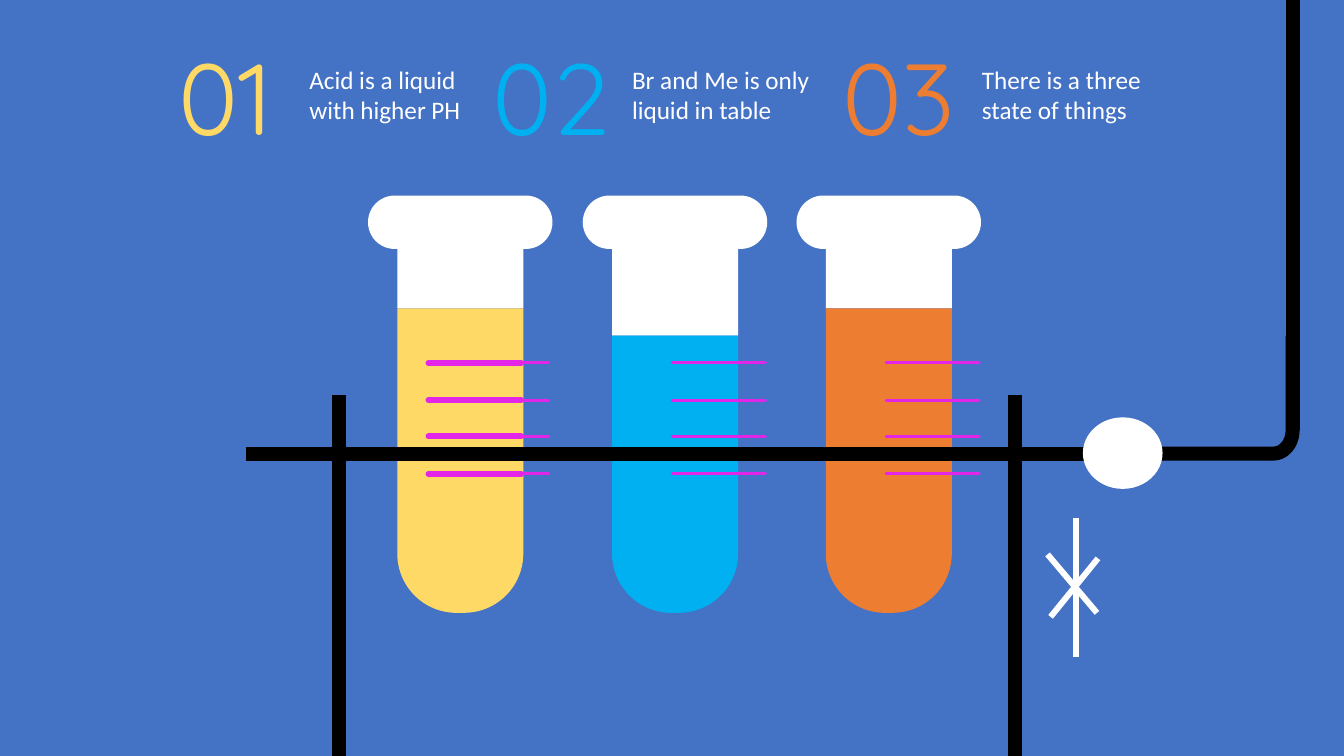
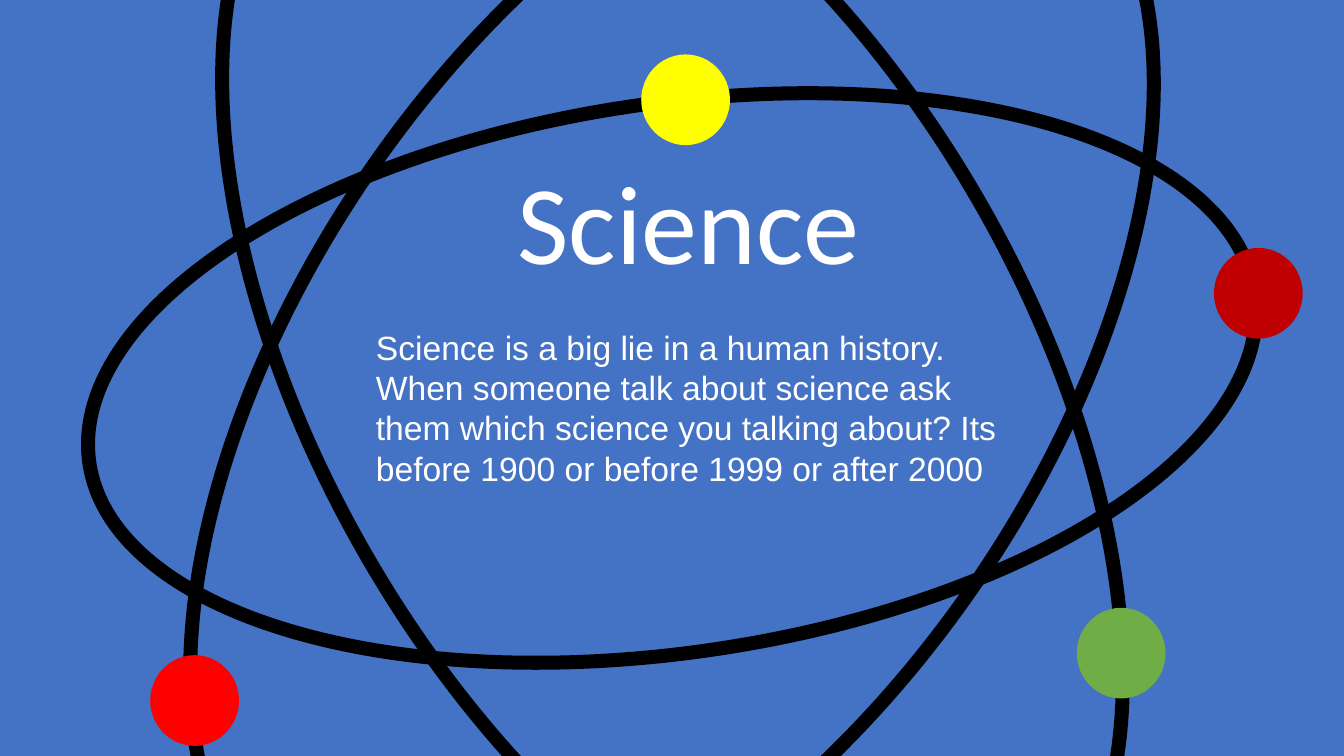
from dataclasses import dataclass
from math import cos, pi, sin
from typing import Any, Optional

from pptx import Presentation
from pptx.dml.color import RGBColor
from pptx.enum.shapes import MSO_CONNECTOR, MSO_SHAPE
from pptx.enum.text import MSO_ANCHOR, MSO_AUTO_SIZE, PP_ALIGN
from pptx.oxml import parse_xml
from pptx.oxml.ns import nsdecls, qn
from pptx.util import Emu, Pt

PX = 9144
WIDE, HIGH = 1333, 750


@dataclass(frozen=True)
class Theme:
    blue: str = "4472C4"
    white: str = "FFFFFF"
    black: str = "000000"
    mark: str = "E325E8"
    sand: str = "FFD966"
    sky: str = "00B0F0"
    orange: str = "ED7D31"
    red: str = "FF0000"
    green: str = "70AD47"
    yellow: str = "FFFF00"
    crimson: str = "C00000"
    sans: str = "Calibri"
    plain: str = "Arial"
    round: str = "Quicksand"
    title: int = 80
    number: int = 72
    body: int = 24
    label: int = 18
    thick: float = 10
    medium: float = 4.25
    thin: float = 2.25


T = Theme()


@dataclass(frozen=True)
class Box:
    x: int
    y: int
    w: int
    h: int


@dataclass(frozen=True)
class Tube:
    left: int
    level: int
    marks: int
    color: str


@dataclass(frozen=True)
class Point:
    number: str
    text: str
    color: str
    left: int
    label: Box


@dataclass(frozen=True)
class Dot:
    x: int
    y: int
    color: str


@dataclass(frozen=True)
class Orbit:
    box: Box
    turn: float
    dots: tuple[Dot, ...]


TUBES = (
    Tube(394, 306, 452, T.sand),
    Tube(607, 333, 667, T.sky),
    Tube(819, 306, 879, T.orange),
)
POINTS = (
    Point("01", "Acid is a liquid with higher PH", T.sand, 167, Box(297, 59, 173, 71)),
    Point("02", "Br and Me is only liquid in table", T.sky, 479, Box(617, 59, 201, 71)),
    Point("03", "There is a three state of things", T.orange, 826, Box(964, 59, 206, 71)),
)
ORBITS = (
    Orbit(Box(303, -281, 727, 1312), 34.6, (Dot(149, 650, T.red),)),
    Orbit(Box(316, -281, 702, 1312), 330.1, (Dot(1068, 603, T.green),)),
    Orbit(Box(394, -209, 545, 1168), 81.7,
          (Dot(636, 54, T.yellow), Dot(1204, 246, T.crimson))),
)
STAR = ((1067, 514, 1067, 652), (1039, 550, 1088, 608), (1089, 554, 1042, 612))


def place(box: Box) -> tuple[Emu, ...]:
    return tuple(Emu(n * PX) for n in (box.x, box.y, box.w, box.h))


def stroke(line: Any, color: str, width: float) -> None:
    line.color.rgb = RGBColor.from_string(color)
    line.width = Pt(width)


def shape(shapes: Any, kind: MSO_SHAPE, box: Box, fill: Optional[str]) -> Any:
    item = shapes.add_shape(kind, *place(box))
    item.shadow.inherit = False
    if fill:
        item.fill.solid()
        item.fill.fore_color.rgb = RGBColor.from_string(fill)
        item.line.fill.background()
    else:
        item.fill.background()
        stroke(item.line, T.black, T.thick)
    return item


def line(shapes: Any, ends: tuple[int, ...], color: str, width: float,
         cap: str = "flat") -> None:
    item = shapes.add_connector(MSO_CONNECTOR.STRAIGHT, *(Emu(n * PX) for n in ends))
    stroke(item.line, color, width)
    props = item._element.spPr
    props.find(qn("a:ln")).set("cap", cap)
    props.append(parse_xml(f"<a:effectLst {nsdecls('a')}/>"))


def write(frame: Any, text: str, size: int, font: str, color: str) -> Any:
    frame.word_wrap = True
    para = frame.paragraphs[0]
    run = para.add_run()
    run.text = text
    run.font.size = Pt(size)
    run.font.name = font
    run.font.color.rgb = RGBColor.from_string(color)
    return para


def label(shapes: Any, box: Box, text: str, size: int, font: str, color: str) -> None:
    frame = shapes.add_textbox(*place(box)).text_frame
    write(frame, text, size, font, color)
    frame.auto_size = MSO_AUTO_SIZE.SHAPE_TO_FIT_TEXT


def bend(shapes: Any) -> None:
    steps = 16
    arc = [(1263 + 19 * cos(pi / 2 * n / steps), 427 + 23 * sin(pi / 2 * n / steps))
           for n in range(steps + 1)]
    path = shapes.build_freeform(1282 * PX, 333 * PX)
    path.add_line_segments([(x * PX, y * PX) for x, y in arc + [(1114, 450)]], close=False)
    item = path.convert_to_shape()
    item.shadow.inherit = False
    item.fill.background()
    stroke(item.line, T.black, T.thick)


def glass(shapes: Any, tube: Tube) -> None:
    rim = shape(shapes, MSO_SHAPE.ROUNDED_RECTANGLE, Box(tube.left - 29, 194, 183, 53), T.white)
    rim.adjustments[0] = 0.5
    shape(shapes, MSO_SHAPE.RECTANGLE, Box(tube.left, 220, 125, tube.level - 220), T.white)
    fluid = shape(shapes, MSO_SHAPE.ROUND_2_SAME_RECTANGLE,
                  Box(tube.left, tube.level, 125, 608 - tube.level), tube.color)
    fluid.adjustments[0] = 0
    fluid.adjustments[1] = 0.47


def scale(shapes: Any, left: int, width: float) -> None:
    for n in range(4):
        y = round(360 + n * 110 / 3)
        line(shapes, (left, y, left + 92, y), T.mark, width, "rnd")


def lab(deck: Any) -> None:
    shapes = deck.slides.add_slide(deck.slide_layouts[6]).shapes
    for tube in TUBES:
        glass(shapes, tube)
    line(shapes, (1282, 0, 1282, 427), T.black, T.thick)
    bend(shapes)
    line(shapes, (244, 450, 1125, 450), T.black, T.thick)
    for x in (336, 1007):
        line(shapes, (x, 392, x, HIGH), T.black, T.thick)
    for tube in TUBES:
        scale(shapes, tube.marks, T.thin)
    scale(shapes, 425, T.medium)
    for point in POINTS:
        label(shapes, Box(point.left, 29, 158, 131), point.number,
              T.number, T.round, point.color)
        label(shapes, point.label, point.text, T.label, T.sans, T.white)
    shape(shapes, MSO_SHAPE.OVAL, Box(1074, 414, 79, 71), T.white)
    star = shapes.add_group_shape().shapes
    for ends in STAR:
        line(star, ends, T.white, T.medium)


def atom(deck: Any) -> None:
    shapes = deck.slides.add_slide(deck.slide_layouts[5]).shapes
    title = shapes.title
    title.left, title.top, title.width, title.height = place(Box(382, 146, 602, 145))
    frame = title.text_frame
    frame.auto_size = MSO_AUTO_SIZE.NONE
    frame.vertical_anchor = MSO_ANCHOR.TOP
    para = write(frame, "Science", T.title, T.sans, T.white)
    para.alignment = PP_ALIGN.CENTER
    para.line_spacing = 1.0
    label(shapes, Box(363, 319, 635, 172),
          "Science is a big lie in a human history. When someone talk about science "
          "ask them which science you talking about? Its before 1900 or before 1999 "
          "or after 2000", T.body, T.plain, T.white)
    for orbit in ORBITS:
        group = shapes.add_group_shape().shapes
        shape(group, MSO_SHAPE.OVAL, orbit.box, None).rotation = orbit.turn
        for dot in orbit.dots:
            shape(group, MSO_SHAPE.OVAL, Box(dot.x, dot.y, 88, 90), dot.color)


def main() -> None:
    deck = Presentation()
    deck.slide_width, deck.slide_height = Emu(WIDE * PX), Emu(HIGH * PX)
    fill = deck.slide_master.background.fill
    fill.solid()
    fill.fore_color.rgb = RGBColor.from_string(T.blue)
    lab(deck)
    atom(deck)
    deck.save("out.pptx")


if __name__ == "__main__":
    main()
